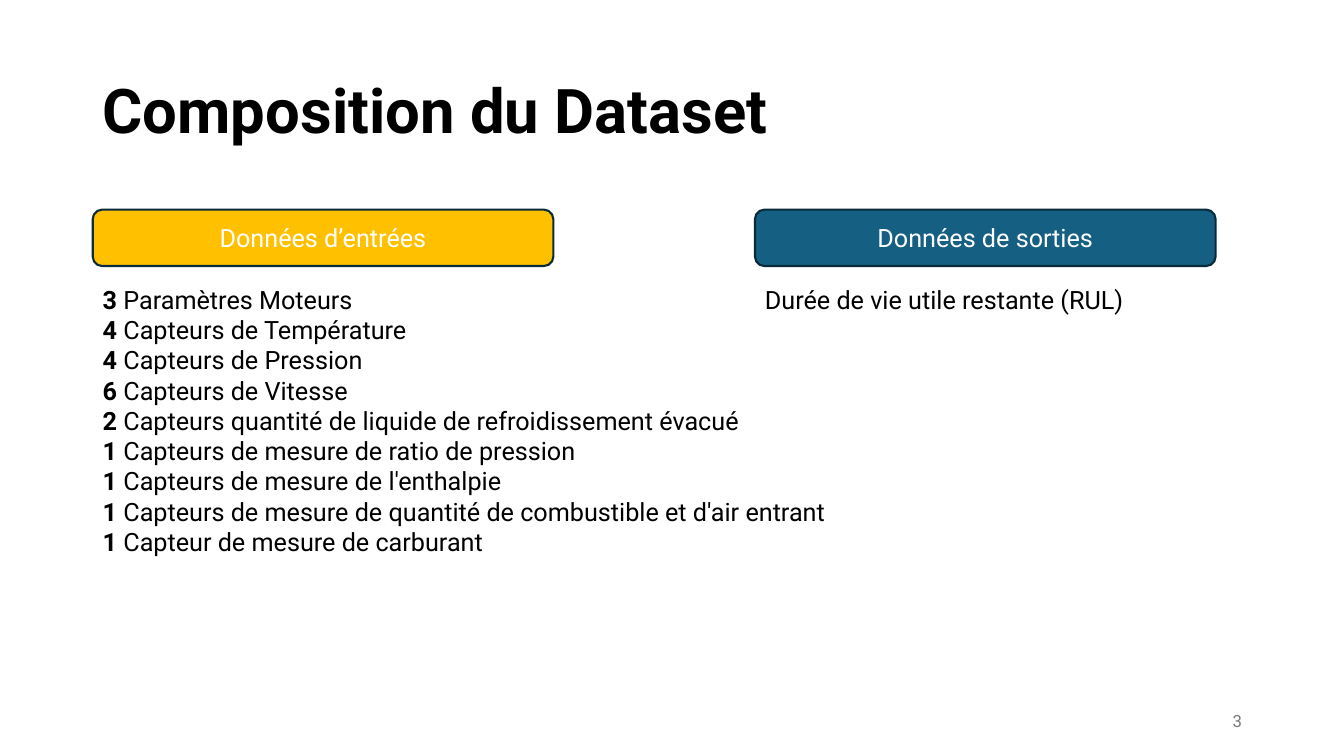
from pptx import Presentation
from pptx.dml.color import RGBColor
from pptx.enum.shapes import MSO_SHAPE
from pptx.enum.text import MSO_ANCHOR, PP_ALIGN
from pptx.util import Pt

FONT = "Roboto"
TITLE = "Composition du Dataset"
PAGE = "3"
INPUTS = [
    ("3 ", "Paramètres Moteurs"),
    ("4 ", "Capteurs de Température"),
    ("4 ", "Capteurs de Pression"),
    ("6 ", "Capteurs de Vitesse"),
    ("2 ", "Capteurs quantité de liquide de refroidissement évacué"),
    ("1 ", "Capteurs de mesure de ratio de pression"),
    ("1 ", "Capteurs de mesure de l'enthalpie"),
    ("1 ", "Capteurs de mesure de quantité de combustible et d'air entrant"),
    ("1 ", "Capteur de mesure de carburant"),
]
OUTPUTS = [("", "Durée de vie utile restante (RUL)")]
COLUMNS = [
    ("Données d’entrées", "FFC000", 66.24, 560.88, 203.76, INPUTS),
    ("Données de sorties", "156082", 539.28, 333.36, 28.8, OUTPUTS),
]
HEAD_TOP, HEAD_W, HEAD_H = 149.76, 329.04, 40.32
LIST_TOP = 199.44


def rgb(value):
    return RGBColor.from_string(value)


def add_run(p, text, size, color, bold=False):
    r = p.add_run()
    r.text = text
    r.font.name = FONT
    r.font.size = Pt(size)
    r.font.bold = bold
    r.font.color.rgb = rgb(color)


def add_box(s, left, top, width, height, anchor=MSO_ANCHOR.TOP):
    tf = s.shapes.add_textbox(Pt(left), Pt(top), Pt(width), Pt(height)).text_frame
    tf.word_wrap = True
    tf.vertical_anchor = anchor
    return tf


def add_header(s, label, fill, left):
    sp = s.shapes.add_shape(MSO_SHAPE.ROUNDED_RECTANGLE, Pt(left), Pt(HEAD_TOP), Pt(HEAD_W), Pt(HEAD_H))
    sp.shadow.inherit = False
    sp.fill.solid()
    sp.fill.fore_color.rgb = rgb(fill)
    sp.line.color.rgb = rgb("092A39")
    sp.line.width = Pt(1.5)
    tf = sp.text_frame
    tf.vertical_anchor = MSO_ANCHOR.MIDDLE
    p = tf.paragraphs[0]
    p.alignment = PP_ALIGN.CENTER
    add_run(p, label, 18, "FFFFFF")


def add_list(s, left, width, height, items):
    tf = add_box(s, left, LIST_TOP, width, height)
    for i, (count, label) in enumerate(items):
        p = tf.add_paragraph() if i else tf.paragraphs[0]
        if count:
            add_run(p, count, 18, "000000", True)
        add_run(p, label, 18, "000000")


def main():
    prs = Presentation()
    prs.slide_width, prs.slide_height = Pt(960), Pt(540)
    s = prs.slides.add_slide(prs.slide_layouts[6])

    p = add_box(s, 66.24, 28.8, 828, 104.4, MSO_ANCHOR.MIDDLE).paragraphs[0]
    p.line_spacing = 0.9
    add_run(p, TITLE, 44, "000000", True)

    for label, fill, left, width, height, items in COLUMNS:
        add_header(s, label, fill, left)
        add_list(s, left, width, height, items)

    p = add_box(s, 678.24, 500.4, 216, 28.8, MSO_ANCHOR.MIDDLE).paragraphs[0]
    p.alignment = PP_ALIGN.RIGHT
    add_run(p, PAGE, 12, "797979")

    prs.save("out.pptx")


if __name__ == "__main__":
    main()
